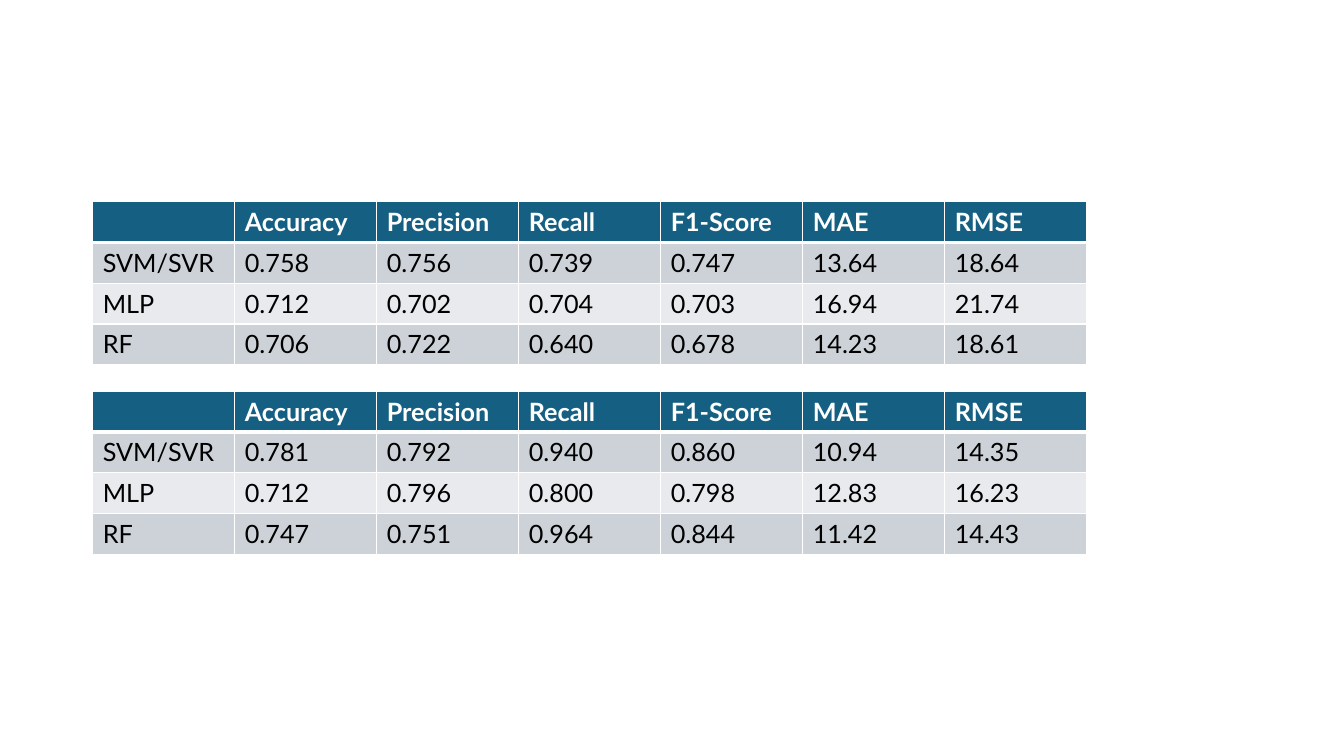
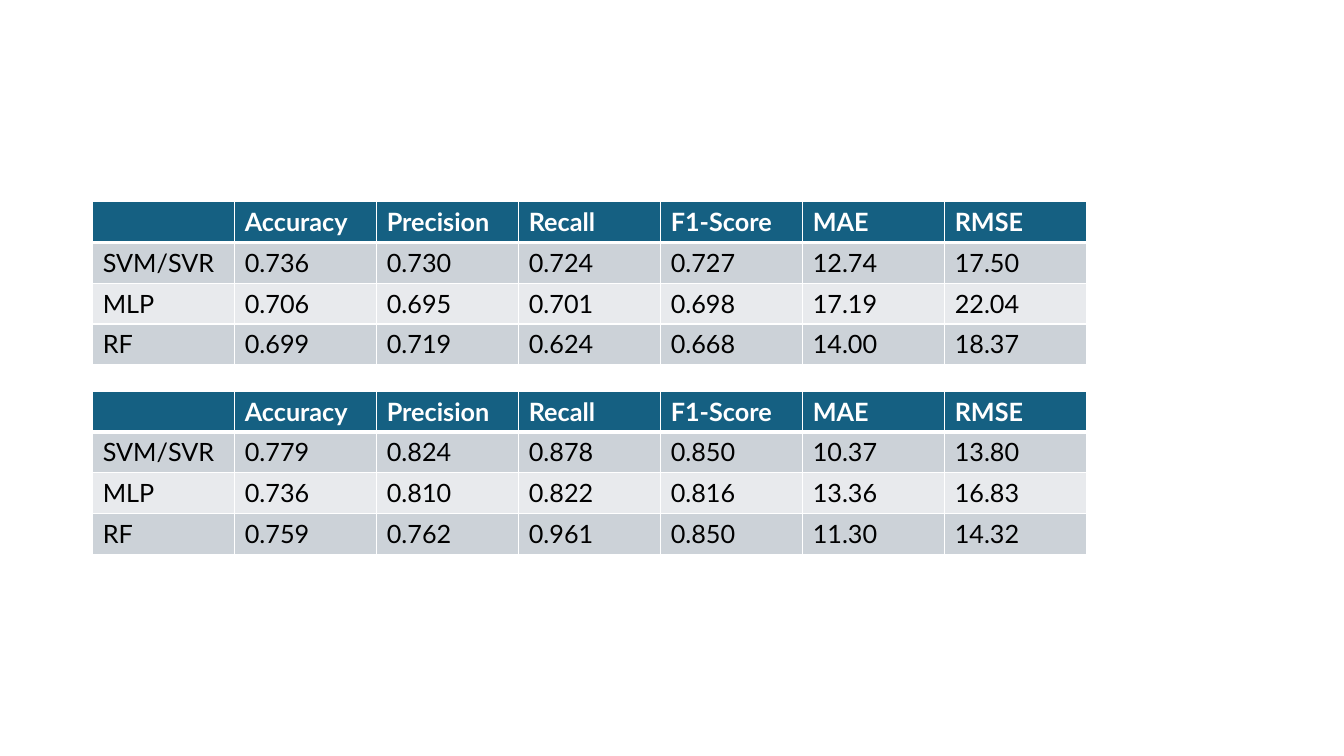
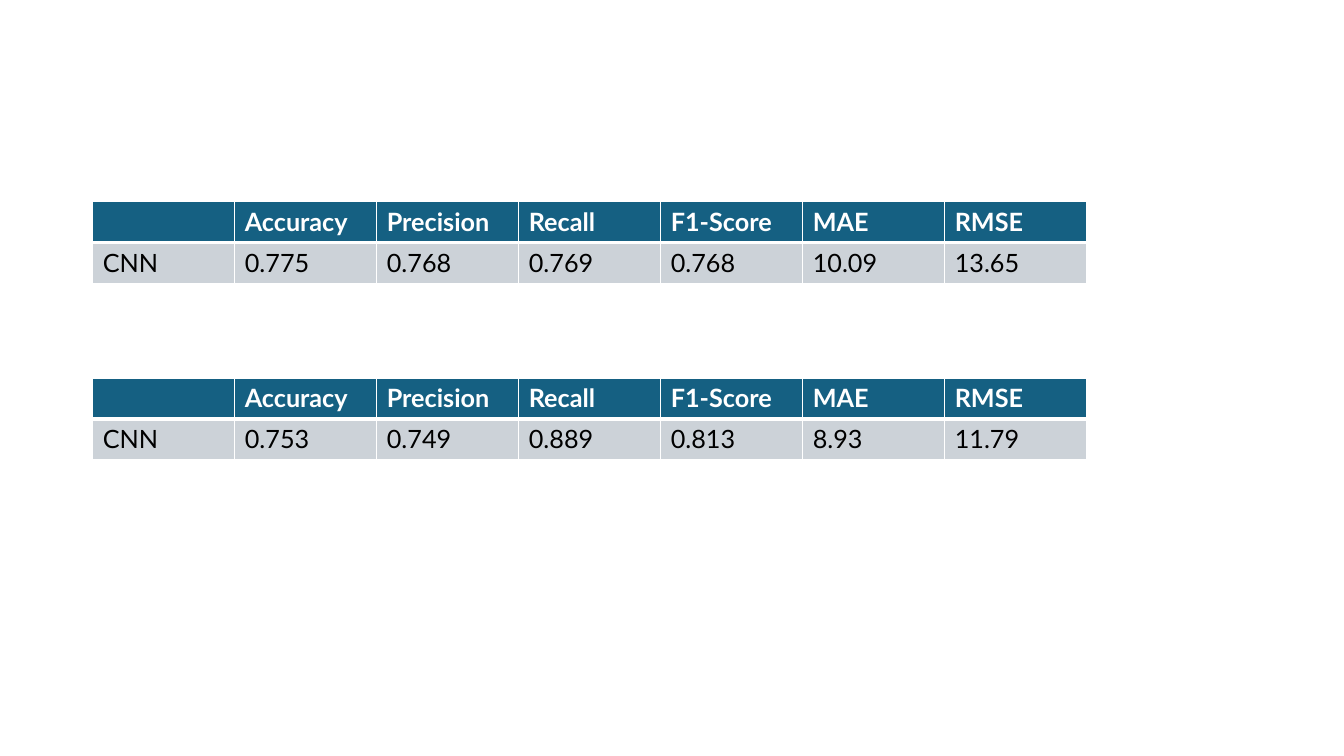
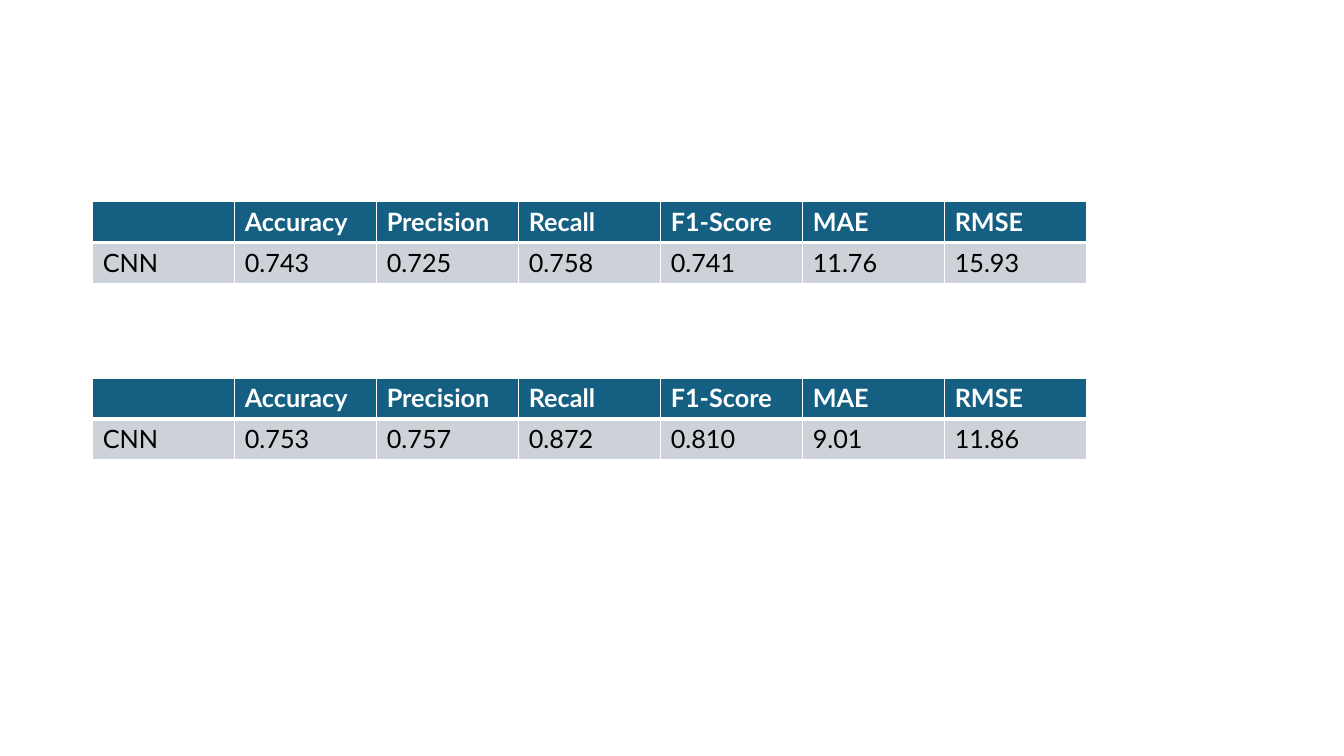
from pptx import Presentation
from pptx import util as u
from pptx.dml.color import RGBColor
from pptx.oxml import parse_xml
from pptx.oxml import ns

# Content: each slide holds two tables of scores
HEAD = ["", "Accuracy", "Precision", "Recall", "F1-Score", "MAE", "RMSE"]
SLIDES = [
    [
        [["SVM/SVR", "0.758", "0.756", "0.739", "0.747", "13.64", "18.64"],
         ["MLP", "0.712", "0.702", "0.704", "0.703", "16.94", "21.74"],
         ["RF", "0.706", "0.722", "0.640", "0.678", "14.23", "18.61"]],
        [["SVM/SVR", "0.781", "0.792", "0.940", "0.860", "10.94", "14.35"],
         ["MLP", "0.712", "0.796", "0.800", "0.798", "12.83", "16.23"],
         ["RF", "0.747", "0.751", "0.964", "0.844", "11.42", "14.43"]],
    ],
    [
        [["SVM/SVR", "0.736", "0.730", "0.724", "0.727", "12.74", "17.50"],
         ["MLP", "0.706", "0.695", "0.701", "0.698", "17.19", "22.04"],
         ["RF", "0.699", "0.719", "0.624", "0.668", "14.00", "18.37"]],
        [["SVM/SVR", "0.779", "0.824", "0.878", "0.850", "10.37", "13.80"],
         ["MLP", "0.736", "0.810", "0.822", "0.816", "13.36", "16.83"],
         ["RF", "0.759", "0.762", "0.961", "0.850", "11.30", "14.32"]],
    ],
    [
        [["CNN", "0.775", "0.768", "0.769", "0.768", "10.09", "13.65"]],
        [["CNN", "0.753", "0.749", "0.889", "0.813", "8.93", "11.79"]],
    ],
    [
        [["CNN", "0.743", "0.725", "0.758", "0.741", "11.76", "15.93"]],
        [["CNN", "0.753", "0.757", "0.872", "0.810", "9.01", "11.86"]],
    ],
]

# Shared look
TEAL = RGBColor(0x15, 0x60, 0x82)
DARK = RGBColor(0xCC, 0xD2, 0xD8)
LIGHT = RGBColor(0xE8, 0xEA, 0xED)
WHITE = RGBColor(0xFF, 0xFF, 0xFF)
BLACK = RGBColor(0, 0, 0)
FONT = {"name": "Lato", "size": u.Pt(18)}

# Layout in px, 100 to the inch
PX = 9144
WIDE, HIGH = 1333, 750
LEFT, WIDTH = 92, 986
TOPS = {3: (200, 388), 1: (200, 375)}  # by number of data rows
PAIR = 81  # height of two rows


def edge(cell, side, width):
    """Draw one white border of a cell, width in points."""
    cell._tc.get_or_add_tcPr().append(parse_xml(
        f'<a:ln{side} {ns.nsdecls("a")} w="{u.Pt(width)}"><a:solidFill>'
        f'<a:srgbClr val="{WHITE}"/></a:solidFill></a:ln{side}>'))


def style(cell, row):
    """Format a cell by its row; row 0 is the header."""
    rule = {"L": 1, "R": 1, "T": 3 if row == 1 else 1, "B": 1 if row else 3}
    for side, width in rule.items():
        edge(cell, side, width)
    cell.fill.solid()
    cell.fill.fore_color.rgb = (DARK if row % 2 else LIGHT) if row else TEAL
    font = cell.text_frame.paragraphs[0].font
    for key, val in {**FONT, "bold": row == 0}.items():
        setattr(font, key, val)
    font.color.rgb = BLACK if row else WHITE


def scores(slide, top, data):
    """Add a table of scores below the shared header."""
    rows = [HEAD] + data
    box = [n * PX for n in (LEFT, top, WIDTH, PAIR * len(rows) // 2)]
    table = slide.shapes.add_table(len(rows), len(HEAD), *box).table
    for r, row in enumerate(rows):
        for c, word in enumerate(row):
            cell = table.cell(r, c)
            if word:
                cell.text = word
            style(cell, r)


def main():
    deck = Presentation()
    deck.slide_width, deck.slide_height = WIDE * PX, HIGH * PX
    for pair in SLIDES:
        slide = deck.slides.add_slide(deck.slide_layouts[6])
        for top, data in zip(TOPS[len(pair[0])], pair):
            scores(slide, top, data)
    deck.save("out.pptx")


if __name__ == "__main__":
    main()
